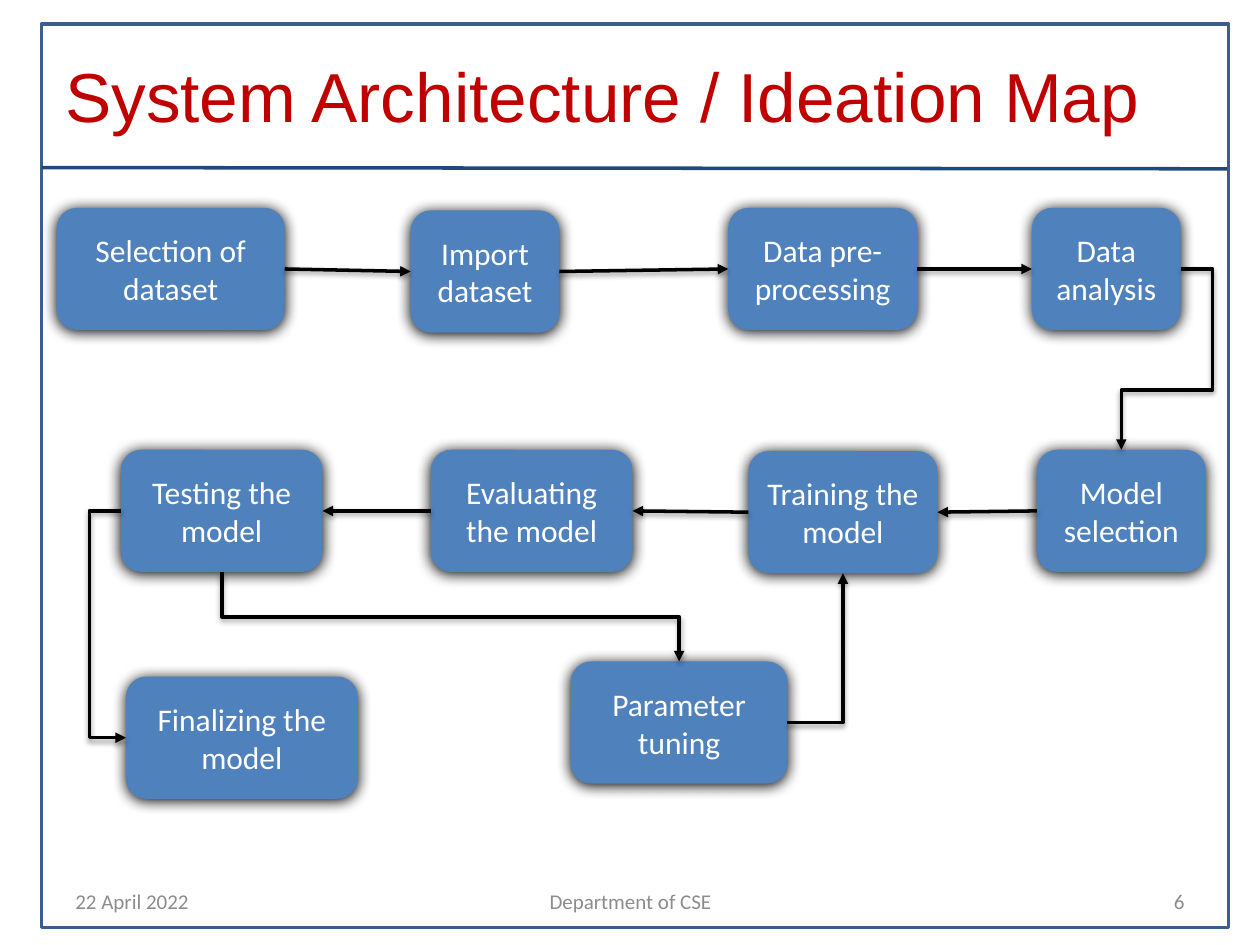
import pptx
import pptx.util
import pptx.dml.color
import pptx.enum.shapes
import pptx.enum.text
import pptx.oxml
import pptx.oxml.ns
from lxml import etree

Inches = pptx.util.Inches
Pt = pptx.util.Pt
RGBColor = pptx.dml.color.RGBColor
Shape = pptx.enum.shapes.MSO_SHAPE
Connector = pptx.enum.shapes.MSO_CONNECTOR
Align = pptx.enum.text.PP_ALIGN
qn = pptx.oxml.ns.qn

BLACK = RGBColor(0x00, 0x00, 0x00)
WHITE = RGBColor(0xFF, 0xFF, 0xFF)
BOX_BLUE = RGBColor(0x4F, 0x81, 0xBD)
FRAME_BLUE = RGBColor(0x3A, 0x5F, 0x8C)
RULE_BLUE = RGBColor(0x1F, 0x49, 0x7D)
TITLE_RED = RGBColor(0xC0, 0x00, 0x00)
FOOTER_GRAY = RGBColor(0x8C, 0x8C, 0x8C)
TOP, LEFT, BOTTOM, RIGHT = range(4)

BOX_HEIGHT = 0.97
# name: text, left, top, width
STEPS = {
    "select": ("Selection of dataset", 0.45, 1.65, 1.81),
    "import": ("Import dataset", 3.26, 1.67, 1.18),
    "prepare": ("Data pre-processing", 5.78, 1.65, 1.5),
    "analyse": ("Data analysis", 8.19, 1.65, 1.18),
    "model": ("Model selection", 8.23, 3.57, 1.34),
    "train": ("Training the model", 5.94, 3.58, 1.5),
    "evaluate": ("Evaluating the model", 3.42, 3.57, 1.6),
    "test": ("Testing the model", 0.96, 3.57, 1.6),
    "tune": ("Parameter tuning", 4.53, 5.25, 1.72),
    "finalize": ("Finalizing the model", 1, 5.37, 1.84),
}
STRAIGHT_ARROWS = [
    ("select", RIGHT, "import", LEFT),
    ("import", RIGHT, "prepare", LEFT),
    ("prepare", RIGHT, "analyse", LEFT),
    ("model", LEFT, "train", RIGHT),
    ("train", LEFT, "evaluate", RIGHT),
    ("evaluate", LEFT, "test", RIGHT),
]
# start, side, end, side, preset, bends as shares of the run, quarter turn
ELBOW_ARROWS = [
    ("analyse", RIGHT, "model", TOP, "bentConnector4", (-0.54, 0.67), False),
    ("test", LEFT, "finalize", LEFT, "bentConnector3", (-6.25,), False),
    ("test", BOTTOM, "tune", TOP, "bentConnector3", (0.5,), True),
    ("tune", RIGHT, "train", BOTTOM, "bentConnector2", (), False),
]
# text, left, top, width, height, font, size, colour, alignment
LABELS = [
    ("22 April 2022", 0.5, 6.95, 2.33, 0.4, "Calibri", 12, FOOTER_GRAY, Align.LEFT),
    ("Department of CSE", 3.42, 6.95, 3.17, 0.4, "Calibri", 12, FOOTER_GRAY, Align.CENTER),
    ("6", 7.17, 6.95, 2.33, 0.4, "Calibri", 12, FOOTER_GRAY, Align.RIGHT),
    ("System Architecture / Ideation Map", 0.42, 0.42, 9, 0.67, "Arial", 39.6, TITLE_RED, Align.LEFT),
]


def write_text(shape, text, font_name, size, color, alignment):
    frame = shape.text_frame
    frame.word_wrap = True
    frame.vertical_anchor = pptx.enum.text.MSO_ANCHOR.MIDDLE
    frame.text = text
    paragraph = frame.paragraphs[0]
    paragraph.alignment = alignment
    paragraph.font.name = font_name
    paragraph.font.size = Pt(size)
    paragraph.font.color.rgb = color


def set_shadow(shape, blur=0, distance=0, opacity=0):
    """Give the shape a downward black shadow, or none if opacity is 0."""
    properties = shape._element.spPr
    for old in properties.findall(qn("a:effectLst")):
        properties.remove(old)
    effects = etree.SubElement(properties, qn("a:effectLst"))
    if opacity:
        shadow = etree.SubElement(
            effects, qn("a:outerShdw"), blurRad=str(Pt(blur)), dist=str(Pt(distance)),
            dir="5400000", algn="ctr", rotWithShape="0")
        color = etree.SubElement(shadow, qn("a:srgbClr"), val=str(BLACK))
        etree.SubElement(color, qn("a:alpha"), val=str(opacity * 1000))


def add_arrow(slide, kind, start, start_side, end, end_side):
    arrow = slide.shapes.add_connector(kind, 0, 0, 0, 0)
    arrow.begin_connect(start, start_side)
    arrow.end_connect(end, end_side)
    arrow.line.color.rgb = BLACK
    arrow.line.width = Pt(2)
    line = arrow._element.spPr.find(qn("a:ln"))
    etree.SubElement(line, qn("a:tailEnd"), type="triangle")
    set_shadow(arrow, 3.1, 1.6, 38)
    return arrow


def bend(arrow, preset, bends, quarter_turn):
    """Choose the elbow's preset and bends; a quarter turn makes it leave vertically."""
    properties = arrow._element.spPr
    geometry = properties.find(qn("a:prstGeom"))
    geometry.set("prst", preset)
    guides = geometry.find(qn("a:avLst"))
    for number, share in enumerate(bends, 1):
        etree.SubElement(guides, qn("a:gd"), name=f"adj{number}",
                         fmla=f"val {round(share * 100000)}")
    if quarter_turn:
        center_x = arrow.left + arrow.width // 2
        center_y = arrow.top + arrow.height // 2
        arrow.width, arrow.height = arrow.height, arrow.width
        arrow.left = center_x - arrow.width // 2
        arrow.top = center_y - arrow.height // 2
        transform = properties.find(qn("a:xfrm"))
        transform.set("rot", "16200000")
        transform.set("flipH", "1")


def main():
    presentation = pptx.Presentation()
    presentation.slide_width, presentation.slide_height = Inches(10), Inches(7.5)
    slide = presentation.slides.add_slide(presentation.slide_layouts[6])

    frame = slide.shapes.add_shape(
        Shape.RECTANGLE, Inches(0.33), Inches(0.19), Inches(9.42), Inches(7.17))
    frame.fill.background()
    frame.line.color.rgb = FRAME_BLUE
    frame.line.width = Pt(2)
    frame.shadow.inherit = False

    rule = slide.shapes.add_connector(
        Connector.STRAIGHT, Inches(0.33), Inches(1.33), Inches(9.74), Inches(1.34))
    rule.line.color.rgb = RULE_BLUE
    rule.line.width = Pt(2)
    set_shadow(rule)

    for text, left, top, width, height, *style in LABELS:
        label = slide.shapes.add_textbox(*map(Inches, (left, top, width, height)))
        write_text(label, text, *style)

    boxes = {}
    for name, (text, left, top, width) in STEPS.items():
        box = slide.shapes.add_shape(
            Shape.ROUNDED_RECTANGLE, *map(Inches, (left, top, width, BOX_HEIGHT)))
        box.fill.solid()
        box.fill.fore_color.rgb = BOX_BLUE
        box.line.fill.background()
        set_shadow(box, 8.5, 1, 100)
        write_text(box, text, "Calibri", 18, WHITE, Align.CENTER)
        boxes[name] = box

    for start, start_side, end, end_side in STRAIGHT_ARROWS:
        add_arrow(slide, Connector.STRAIGHT, boxes[start], start_side, boxes[end], end_side)
    for start, start_side, end, end_side, *route in ELBOW_ARROWS:
        arrow = add_arrow(slide, Connector.ELBOW, boxes[start], start_side, boxes[end], end_side)
        bend(arrow, *route)

    presentation.save("out.pptx")


if __name__ == "__main__":
    main()
